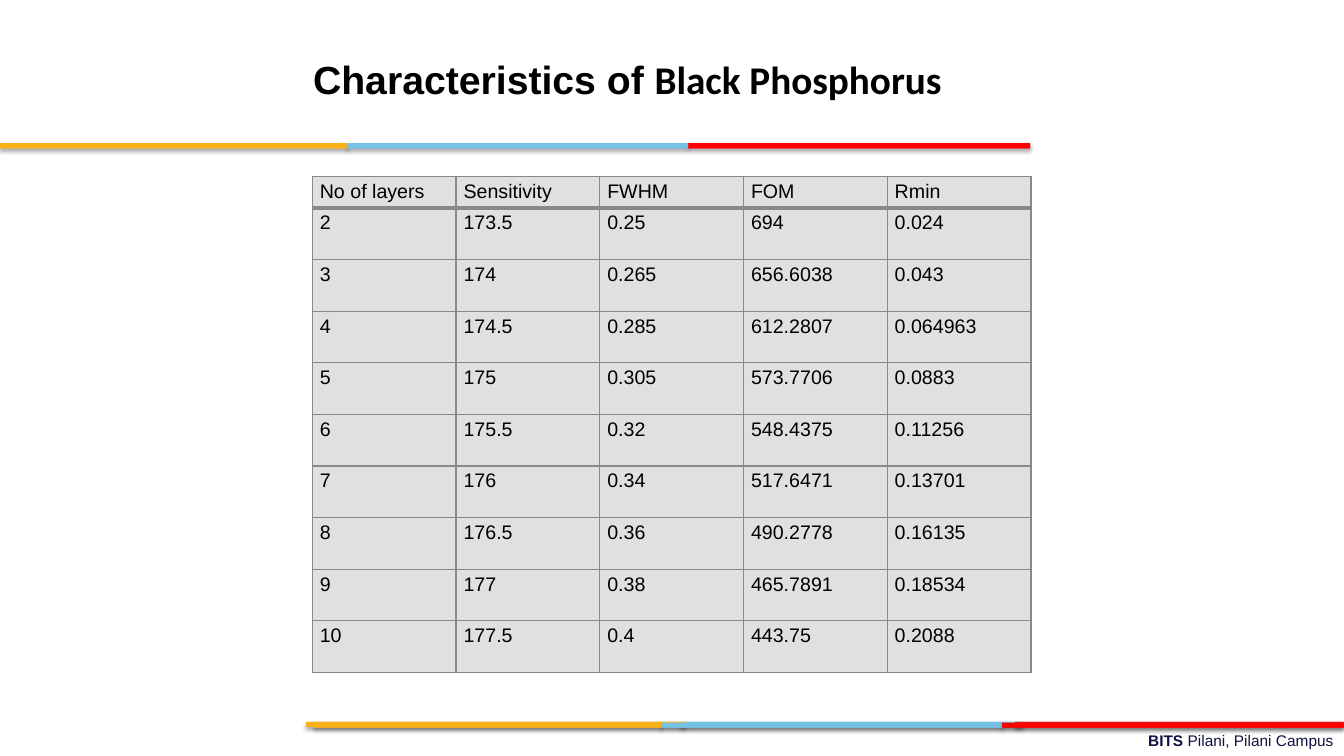
import pptx
import pptx.util
import pptx.dml.color
import pptx.enum.shapes
import pptx.enum.text
import pptx.oxml
import pptx.oxml.ns

Cm = pptx.util.Cm
Pt = pptx.util.Pt

COLORS = {
    "text": "000000", "footer": "101141", "cell": "E0E0E0", "border": "888888",
    "gold": "FCB017", "blue": "76C2E5", "crimson": "E31C24", "red": "FF0000",
}
BAR_GROUPS = [
    (18.19, [("blue", 17.15, 8.61), ("crimson", 25.58, 8.28), ("gold", 7.72, 9.55)]),
    (18.21, [("blue", 16.66, 8.61), ("gold", 7.9, 8.76), ("red", 25.25, 8.61)]),
    (3.61, [("blue", 8.74, 8.61), ("gold", 0, 8.74), ("red", 17.35, 8.61)]),
]
ROWS = [
    ("No of layers", "Sensitivity", "FWHM", "FOM", "Rmin"),
    ("2", "173.5", "0.25", "694", "0.024"),
    ("3", "174", "0.265", "656.6038", "0.043"),
    ("4", "174.5", "0.285", "612.2807", "0.064963"),
    ("5", "175", "0.305", "573.7706", "0.0883"),
    ("6", "175.5", "0.32", "548.4375", "0.11256"),
    ("7", "176", "0.34", "517.6471", "0.13701"),
    ("8", "176.5", "0.36", "490.2778", "0.16135"),
    ("9", "177", "0.38", "465.7891", "0.18534"),
    ("10", "177.5", "0.4", "443.75", "0.2088"),
]


def rgb(name):
    return pptx.dml.color.RGBColor.from_string(COLORS[name])


def write(p, text, size=14, font="Arial", color="text", bold=False):
    r = p.add_run()
    r.text = text
    r.font.size = Pt(size)
    r.font.name = font
    r.font.bold = bold
    r.font.color.rgb = rgb(color)


def set_margins(box, x, y):
    box.margin_left = box.margin_right = Cm(x)
    box.margin_top = box.margin_bottom = Cm(y)


def add_xml(parent, xml):
    ns = pptx.oxml.ns.nsdecls("a")
    parent.append(pptx.oxml.parse_xml(xml.replace(" ", f" {ns} ", 1)))


class Deck:
    bar_height = 0.13
    header_height = 0.76
    row_height = 1.3

    def __init__(self, prs):
        self.s = prs.slides.add_slide(prs.slide_layouts[5])

    def frame(self, sp, left, top, width, height):
        sp.left, sp.top, sp.width, sp.height = map(Cm, (left, top, width, height))
        tf = sp.text_frame
        tf.word_wrap = True
        return tf

    def title(self, parts, *box):
        tf = self.frame(self.s.shapes.title, *box)
        tf.auto_size = pptx.enum.text.MSO_AUTO_SIZE.SHAPE_TO_FIT_TEXT
        tf.vertical_anchor = pptx.enum.text.MSO_ANCHOR.TOP
        set_margins(tf, 0.19, 0.1)
        p = tf.paragraphs[0]
        p.alignment = pptx.enum.text.PP_ALIGN.LEFT
        for text, font in parts:
            write(p, text, size=28, font=font, bold=True)

    def footer(self, parts, *box):
        tf = self.frame(self.s.shapes.add_textbox(0, 0, 0, 0), *box)
        p = tf.paragraphs[0]
        p.alignment = pptx.enum.text.PP_ALIGN.RIGHT
        for text, bold in parts:
            write(p, text, size=11, color="footer", bold=bold)

    def bar(self, color, left, top, width, shadow):
        sp = self.s.shapes.add_shape(
            pptx.enum.shapes.MSO_SHAPE.RECTANGLE,
            Cm(left), Cm(top), Cm(width), Cm(self.bar_height))
        sp.fill.solid()
        sp.fill.fore_color.rgb = rgb(color)
        sp.line.fill.background()
        sp.shadow.inherit = False
        if shadow:
            effects = sp._element.spPr.find(pptx.oxml.ns.qn("a:effectLst"))
            add_xml(effects,
                    f'<a:outerShdw blurRad="{Pt(3.1)}" dist="{Pt(1.8)}" dir="5400000" rotWithShape="0">'
                    '<a:srgbClr val="000000"><a:alpha val="35000"/></a:srgbClr></a:outerShdw>')

    def cell(self, cell, text, top, bottom):
        set_margins(cell, 0.19, 0.1)
        write(cell.text_frame.paragraphs[0], text)
        tcPr = cell._tc.get_or_add_tcPr()
        for side, width in (("L", 1), ("R", 1), ("T", top), ("B", bottom)):
            add_xml(tcPr,
                    f'<a:ln{side} w="{Pt(width)}"><a:solidFill>'
                    f'<a:srgbClr val="{COLORS["border"]}"/></a:solidFill></a:ln{side}>')
        cell.fill.solid()
        cell.fill.fore_color.rgb = rgb("cell")

    def table(self, rows, left, top, width):
        height = self.header_height + self.row_height * (len(rows) - 1)
        t = self.s.shapes.add_table(
            len(rows), len(rows[0]), Cm(left), Cm(top), Cm(width), Cm(height)).table
        t.first_row = t.horz_banding = False
        for i, row in enumerate(rows):
            t.rows[i].height = Cm(self.row_height if i else self.header_height)
            for j, text in enumerate(row):
                self.cell(t.cell(i, j), text, 3 if i == 1 else 1, 3 if i == 0 else 1)


def main():
    prs = pptx.Presentation()
    prs.slide_width, prs.slide_height = Cm(33.87), Cm(19.05)
    deck = Deck(prs)
    deck.footer([("BITS ", True), ("Pilani, Pilani Campus", False)], 12.14, 18.31, 21.72, 0.71)
    for shadow in (True, False):
        for top, bars in BAR_GROUPS:
            for color, left, width in bars:
                deck.bar(color, left, top, width, shadow)
    deck.table(ROWS, 7.87, 4.45, 18.11)
    deck.title([("Characteristics of ", "Arial"), ("Black Phosphorus", "Calibri")],
               7.7, 1.3, 16.97, 1.4)
    prs.save("out.pptx")


if __name__ == "__main__":
    main()
